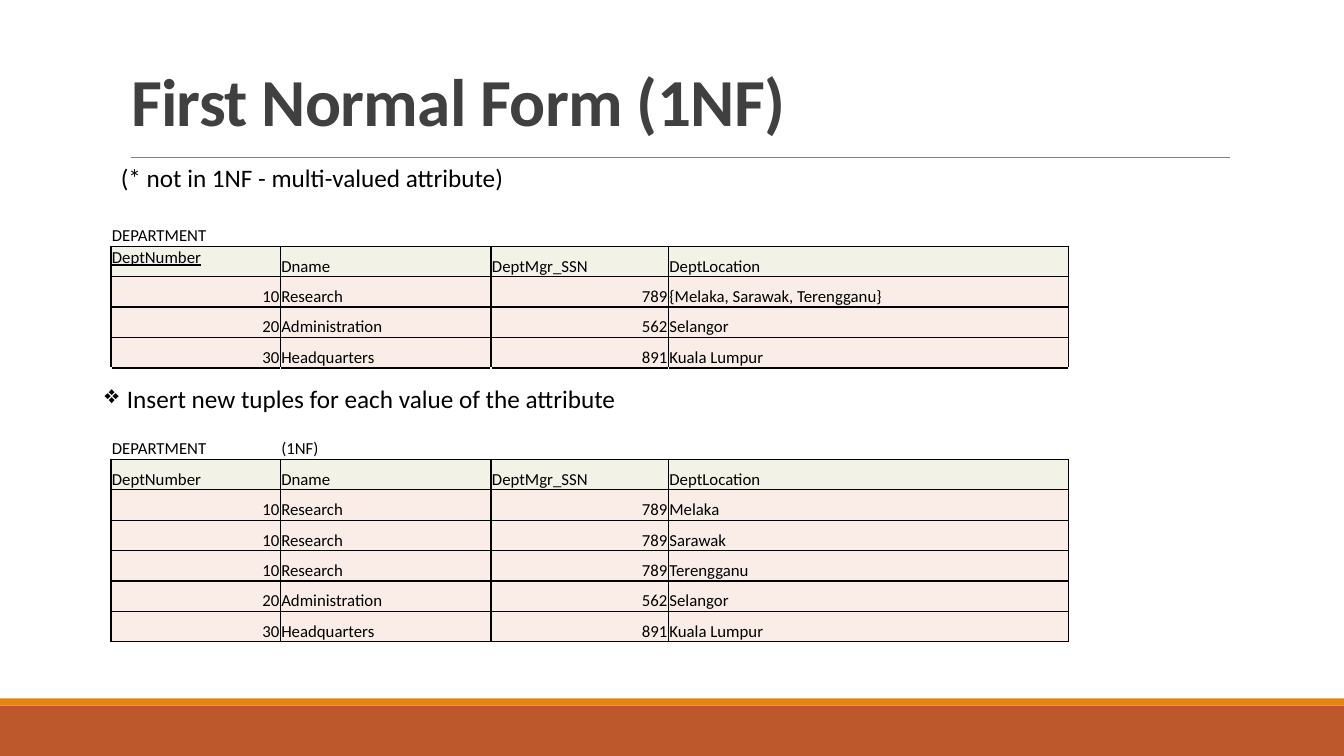
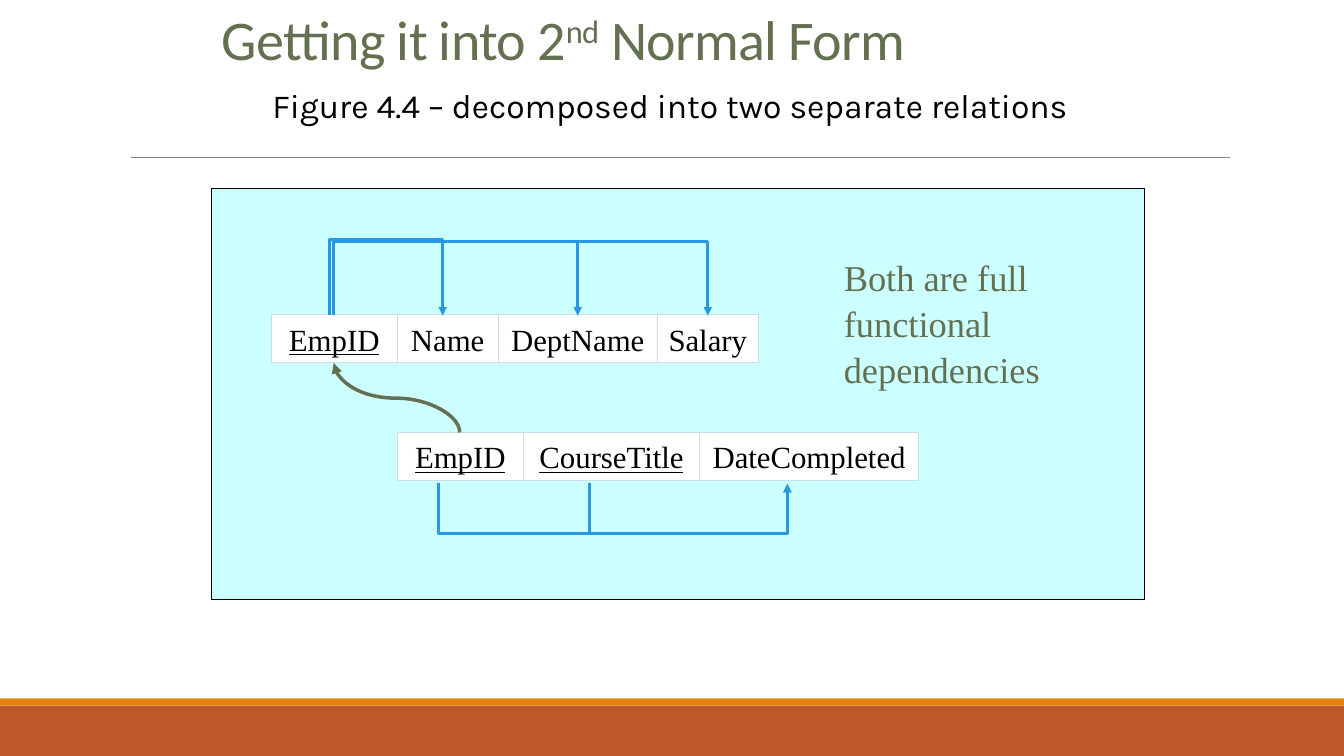
from lxml import etree
from pptx import Presentation
from pptx.dml.color import RGBColor
from pptx.enum.shapes import MSO_CONNECTOR, MSO_SHAPE
from pptx.enum.text import MSO_ANCHOR, MSO_AUTO_SIZE, PP_ALIGN
from pptx.oxml.ns import qn
from pptx.util import Inches, Pt

LEFT, CENTER, RIGHT = PP_ALIGN.LEFT, PP_ALIGN.CENTER, PP_ALIGN.RIGHT
TOP, MIDDLE, BOTTOM = MSO_ANCHOR.TOP, MSO_ANCHOR.MIDDLE, MSO_ANCHOR.BOTTOM
STRAIGHT, ELBOW, CURVE = MSO_CONNECTOR.STRAIGHT, MSO_CONNECTOR.ELBOW, MSO_CONNECTOR.CURVE
RECT = MSO_SHAPE.RECTANGLE
NO_FIT = MSO_AUTO_SIZE.NONE

SANS, SERIF, FIGURE_FONT = "Calibri", "Times New Roman", "Karla"
BLACK, WHITE, OLIVE, BLUE = "000000", "FFFFFF", "637052", "2998E3"
BANDS = [(7, 0.5, "BD582C"), (6.93, 0.07, "E48312")]
ROW_FILLS = {"head": "F3F2E6", "data": "FAEDE7"}

HEADER = ("DeptNumber", "Dname", "DeptMgr_SSN", "DeptLocation")
ADMIN = ("20", "Administration", "562", "Selangor")
HEADQUARTERS = ("30", "Headquarters", "891", "Kuala Lumpur")
EMPTY = ("", "", "", "")
TABLE_ROWS = [
    ("open", ("DEPARTMENT", "", "", "")),
    ("head", HEADER),
    ("data", ("10", "Research", "789", "{Melaka, Sarawak, Terengganu}")),
    ("data", ADMIN),
    ("data", HEADQUARTERS),
    ("open", EMPTY),
    ("open", EMPTY),
    ("open", ("DEPARTMENT", "(1NF)", "", "")),
    ("head", HEADER),
    ("data", ("10", "Research", "789", "Melaka")),
    ("data", ("10", "Research", "789", "Sarawak")),
    ("data", ("10", "Research", "789", "Terengganu")),
    ("data", ADMIN),
    ("data", HEADQUARTERS),
]
COLUMN_WIDTHS = [1.68, 2.09, 1.76, 3.97]
KEY_CELL = (1, 0)

RELATIONS = [
    (2.69, 3.12, [("EmpID", 1.25, True), ("Name", 1, False),
                  ("DeptName", 1.58, False), ("Salary", 1, False)]),
    (3.94, 4.29, [("EmpID", 1.25, True), ("CourseTitle", 1.75, True),
                  ("DateCompleted", 2.17, False)]),
]
DEPENDENCIES = [
    (3.27, 4.39, 3.12, 2.36),
    (3.31, 5.73, 3.12, 2.38),
    (3.31, 7.02, 3.12, 2.38),
    (4.35, 7.81, 4.79, 5.3),
    (5.85, 7.81, 4.79, 5.3),
]


def rgb(color):
    return RGBColor.from_string(color)


def add_run(p, text, size, color, font=SANS, bold=False, underline=False):
    r = p.add_run()
    r.text = text
    r.font.name, r.font.size = font, Pt(size)
    r.font.bold, r.font.underline = bold, underline
    r.font.color.rgb = rgb(color)
    return r


def add_rect(s, left, top, width, height, fill, line=None):
    sp = s.shapes.add_shape(RECT, Inches(left), Inches(top), Inches(width), Inches(height))
    sp.shadow.inherit = False
    sp.fill.solid()
    sp.fill.fore_color.rgb = rgb(fill)
    if line:
        sp.line.color.rgb = rgb(line)
        sp.line.width = Pt(0.75)
    else:
        sp.line.fill.background()
    return sp


def add_text(s, left, top, width, height, text, size, color, font=SANS,
             align=LEFT, anchor=TOP):
    sp = s.shapes.add_textbox(Inches(left), Inches(top), Inches(width), Inches(height))
    tf = sp.text_frame
    tf.word_wrap = True
    tf.vertical_anchor = anchor
    p = tf.paragraphs[0]
    p.alignment = align
    add_run(p, text, size, color, font)
    return p


def add_line(s, kind, left, top, right, bottom, color, width):
    line = s.shapes.add_connector(kind, Inches(left), Inches(top), Inches(right), Inches(bottom))
    line.line.color.rgb = rgb(color)
    line.line.width = Pt(width)
    etree.SubElement(line._element.spPr, qn("a:effectLst"))
    return line


def add_vertical_arrow(s, kind, x1, y1, x2, y2, turn_y, color, width):
    # The frame is turned a quarter so the path leaves and arrives vertically.
    across, along = abs(y2 - y1), abs(x2 - x1)
    left, top = (x1 + x2 - across) / 2, (y1 + y2 - along) / 2
    arrow = add_line(s, kind, left, top, left + across, top + along, color, width)
    props = arrow._element.spPr
    frame = props.find(qn("a:xfrm"))
    frame.set("rot", "5400000")
    frame.set("flipV" if x2 > x1 else "flipH", "1")
    geometry = props.find(qn("a:prstGeom"))
    adjustments = geometry.find(qn("a:avLst"))
    if adjustments is None:
        adjustments = etree.SubElement(geometry, qn("a:avLst"))
    ratio = round((turn_y - y1) / (y2 - y1) * 100000)
    etree.SubElement(adjustments, qn("a:gd"), name="adj1", fmla=f"val {ratio}")
    etree.SubElement(props.find(qn("a:ln")), qn("a:tailEnd"), type="triangle")


def decorate_layout(s, layout):
    parts = [add_rect(s, 0, top, 13.33, height, fill) for top, height, fill in BANDS]
    parts.append(add_line(s, STRAIGHT, 1.3, 1.56, 12.2, 1.56, "808080", 0.5))
    for i, part in enumerate(parts):
        layout.shapes._spTree.insert(2 + i, part._element)


def format_title(s, left, top, width, height, spacing=1.0):
    title = s.shapes.title
    title.left, title.top = Inches(left), Inches(top)
    title.width, title.height = Inches(width), Inches(height)
    tf = title.text_frame
    tf.auto_size = NO_FIT
    tf.vertical_anchor = BOTTOM
    tf.margin_bottom = 0
    p = tf.paragraphs[0]
    p.alignment = LEFT
    p.line_spacing = spacing
    return p


def add_title_run(p, text, size, color, bold=False):
    r = add_run(p, text, size, color, bold=bold)
    r._r.get_or_add_rPr().set("spc", "-50")
    return r


def set_borders(cell, colors):
    props = cell._tc.get_or_add_tcPr()
    for i, (side, color) in enumerate(zip("LRTB", colors)):
        border = etree.Element(qn(f"a:ln{side}"), w=str(Pt(1)))
        fill = etree.SubElement(border, qn("a:solidFill"))
        etree.SubElement(fill, qn("a:srgbClr"), val=color)
        props.insert(i, border)


def border_colors(row):
    def edge(i):
        ruled = 0 <= i < len(TABLE_ROWS) and TABLE_ROWS[i][0] != "open"
        return BLACK if ruled else WHITE
    if TABLE_ROWS[row][0] != "open":
        return [BLACK] * 4
    return [WHITE, WHITE, edge(row - 1), edge(row + 1)]


def fill_cell(cell, kind, text, underline):
    cell.margin_left = cell.margin_right = cell.margin_top = Inches(0.01)
    cell.margin_bottom = 0
    cell.vertical_anchor = TOP if underline else BOTTOM
    if kind in ROW_FILLS:
        cell.fill.solid()
        cell.fill.fore_color.rgb = rgb(ROW_FILLS[kind])
    else:
        cell.fill.background()
    p = cell.text_frame.paragraphs[0]
    p.alignment = RIGHT if text.isdigit() else LEFT
    if text:
        add_run(p, text, 12, BLACK, underline=underline)
    else:
        etree.SubElement(p._p, qn("a:endParaRPr"), sz="1200")


def add_department_table(s):
    height = Inches(4.23)
    table = s.shapes.add_table(len(TABLE_ROWS), len(COLUMN_WIDTHS), Inches(1.1), Inches(2.14),
                               Inches(sum(COLUMN_WIDTHS)), height).table
    table.first_row = table.horz_banding = False
    for column, width in zip(table.columns, COLUMN_WIDTHS):
        column.width = Inches(width)
    for i, (kind, texts) in enumerate(TABLE_ROWS):
        table.rows[i].height = height // len(TABLE_ROWS)
        for j, text in enumerate(texts):
            cell = table.cell(i, j)
            fill_cell(cell, kind, text, (i, j) == KEY_CELL)
            set_borders(cell, border_colors(i))
    table.cell(0, 1).merge(table.cell(0, 2))


def build_first_normal_form(s):
    p = format_title(s, 1.2, 0.31, 11, 1.08, 0.85)
    add_title_run(p, "First Normal Form (1NF)", 48, "404040", bold=True)
    add_department_table(s)
    add_text(s, 1.1, 1.56, 6.67, 0.4, "(* not in 1NF - multi-valued attribute)", 18, BLACK)
    p = add_text(s, 0.94, 3.75, 6.67, 0.4,
                 "Insert new tuples for each value of the attribute", 18, BLACK)
    props = p._p.get_or_add_pPr()
    props.set("marL", str(Inches(0.22)))
    props.set("indent", str(-Inches(0.22)))
    etree.SubElement(props, qn("a:buChar"), char="❖")


def build_second_normal_form(s):
    p = format_title(s, 2.1, 0.21, 8.5, 0.5)
    add_title_run(p, "Getting it into 2", 40, OLIVE)
    ordinal = add_title_run(p, "nd", 40, OLIVE)
    ordinal._r.get_or_add_rPr().set("baseline", "30000")
    add_title_run(p, " Normal Form", 40, OLIVE)

    add_rect(s, 2.1, 1.87, 9.25, 4.08, "CCFFFF", BLACK)
    for left, top, attributes in RELATIONS:
        for name, width, is_key in attributes:
            box = add_rect(s, left, top, width, 0.48, WHITE, "CCDDEA")
            tf = box.text_frame
            tf.word_wrap = False
            tf.vertical_anchor = MIDDLE
            p = tf.paragraphs[0]
            p.alignment = CENTER
            add_run(p, name, 22, BLACK, SERIF, underline=is_key)
            left += width

    add_vertical_arrow(s, CURVE, 4.56, 4.29, 3.31, 3.6, 3.95, OLIVE, 2.5)
    for x1, x2, y, turn_y in DEPENDENCIES:
        add_vertical_arrow(s, ELBOW, x1, y, x2, y + 0.01, turn_y, BLUE, 2)

    p = add_text(s, 8.27, 2.46, 2.42, 1.4, "Both are full functional dependencies",
                 26, OLIVE, SERIF)
    p.line_spacing = 1.05
    add_text(s, 2.02, 0.79, 9.25, 0.5, "Figure 4.4 – decomposed into two separate relations",
             24, BLACK, FIGURE_FONT, CENTER, BOTTOM)


def main():
    prs = Presentation()
    prs.slide_width, prs.slide_height = Inches(13.33), Inches(7.5)
    layout = prs.slide_layouts[5]
    slides = [prs.slides.add_slide(layout) for _ in range(2)]
    decorate_layout(slides[0], layout)
    build_first_normal_form(slides[0])
    build_second_normal_form(slides[1])
    prs.save("out.pptx")


if __name__ == "__main__":
    main()
